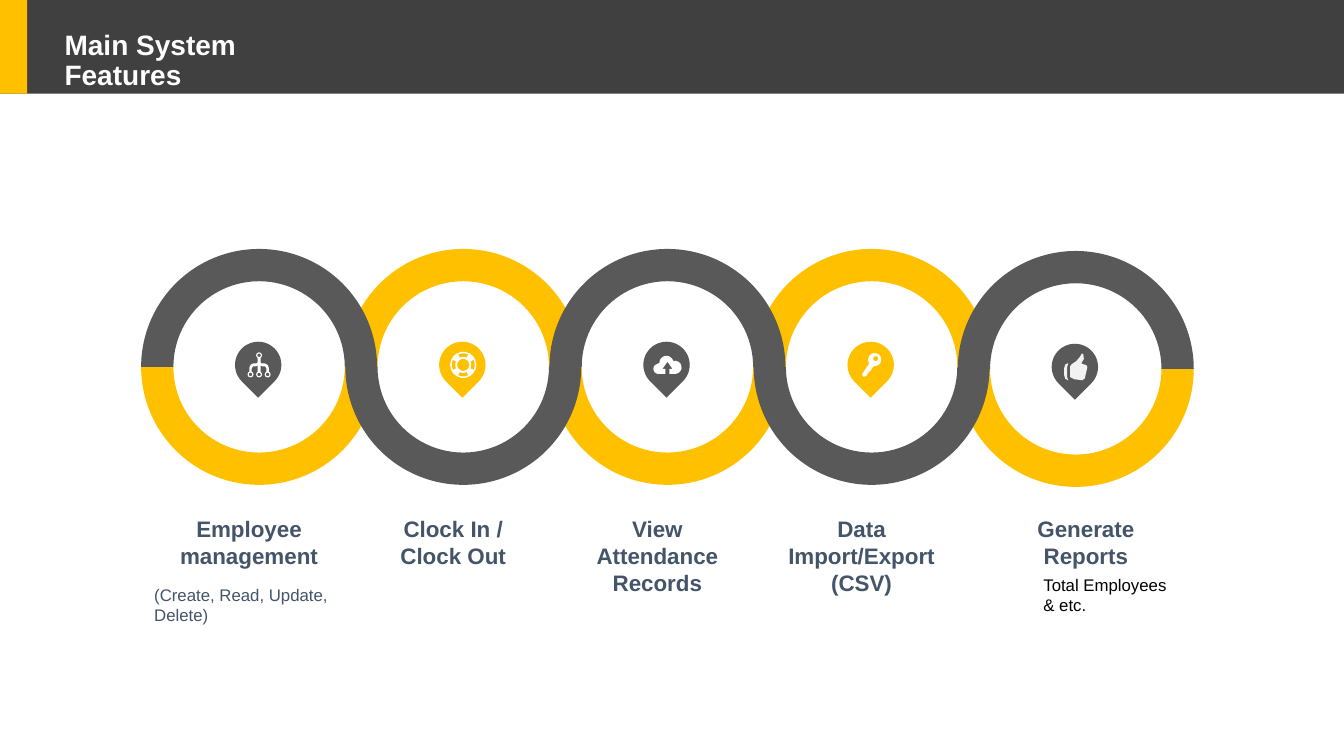
from math import cos, radians, sin

from pptx import Presentation
from pptx.dml.color import RGBColor
from pptx.enum.shapes import MSO_SHAPE
from pptx.enum.text import MSO_ANCHOR, MSO_AUTO_SIZE, PP_ALIGN
from pptx.util import Inches, Pt

COLORS = {"bar": "404040", "gold": "FFC000", "grey": "595959", "label": "445469",
          "title": "FDFDFD", "white": "FFFFFF", "thumb": "F2F2F2", "black": "000000"}

TITLE = "Main System Features"
FEATURES = ["Employee management", "Clock In / Clock Out", "View Attendance Records",
            "Data Import/Export (CSV)", "Generate Reports"]
CREATE_NOTE = "(Create, Read, Update, Delete)"
REPORT_NOTE = "Total Employees & etc."

# Chain of rings, in inches
FIRST_X, LAST_X, RING_Y = 2.57, 10.67, 3.64
PITCH = (LAST_X - FIRST_X) / (len(FEATURES) - 1)
OUTER, INNER = 1.17, 0.85
PIN_SIZE = 0.46
LABEL_WIDTH = 1.51
LAST_DROP, LAST_SHIFT = 0.02, 0.2


def arc(x, y, radius, start=0, end=360):
    """Points along an arc; angles run clockwise from the right."""
    step_angle = 20 if radius > 4 else 45
    steps = max(2, round(abs(end - start) / step_angle))
    angles = [radians(start + (end - start) * step / steps) for step in range(steps + 1)]
    return [(x + radius * cos(angle), y + radius * sin(angle)) for angle in angles]


def band(x, y, outer, inner, start, end):
    return arc(x, y, outer, start, end) + arc(x, y, inner, end, start)


def hole(x, y, radius):
    return arc(x, y, radius, 360, 0)


# Icon outlines, in hundredths of an inch
NODES = [(11.5, 3), (3, 22), (11.5, 22), (20, 22)]
BRANCH_LEFT = [(10, 5.5), (10, 10), (9, 11), (6, 11), (3, 12.5), (1.8, 15.5), (1.8, 19.3),
               (4.2, 19.3), (4.2, 16), (5.5, 14), (8.5, 14), (10, 13), (10, 19.3)]
BRANCH_RIGHT = [(23 - x, y) for x, y in reversed(BRANCH_LEFT)]
NETWORK = ([BRANCH_LEFT + BRANCH_RIGHT] + [arc(x, y, 3) for x, y in NODES]
           + [hole(x, y, 1.8) for x, y in NODES])
LIFEBUOY = [arc(13, 13, 13), hole(13, 13, 6)] + [
    band(13, 13, 11.5, 8, middle + 26, middle - 26) for middle in range(0, 360, 90)]
CLOUD = [arc(5, 13, 5, 90, 260) + arc(13, 7, 7, 180, 345) + arc(21.5, 11.5, 6.5, 265, 450)
         + [(16, 18), (16, 13), (19, 13), (14, 6), (9, 13), (12, 13), (12, 18)]]
KEY = [arc(12.5, 7, 6.5, 165, 455)
       + [(11, 14), (8, 18.5), (7, 19), (4, 23.5), (1, 24), (0, 21.5), (7, 11)],
       hole(13.5, 6, 2.6)]
THUMB = [[(17, 10), (19.5, 6), (19, 1), (17.5, 0.5), (15.5, 4), (12, 8), (7.5, 11), (6, 13),
          (6, 24), (10, 26), (18, 27), (20.5, 25), (23, 14), (22, 12), (18, 10.8)],
         [(4, 10), (1, 11.5), (0, 15), (0, 22), (1, 25.5), (4, 27), (3, 24), (3, 14)]]
ICONS = [NETWORK, LIFEBUOY, CLOUD, KEY, THUMB]


def paint(shape, color):
    shape.fill.solid()
    shape.fill.fore_color.rgb = RGBColor.from_string(COLORS[color])
    shape.line.fill.background()
    shape.shadow.inherit = False


def add_preset(slide, kind, left, top, width, height, color):
    shape = slide.shapes.add_shape(kind, Inches(left), Inches(top), Inches(width), Inches(height))
    paint(shape, color)
    return shape


def add_half_ring(slide, x, y, start, color):
    """Half a ring, clockwise from the start angle; one degree is 0.6 adjustment units."""
    ring = add_preset(slide, MSO_SHAPE.BLOCK_ARC, x - OUTER, y - OUTER,
                      2 * OUTER, 2 * OUTER, color)
    ring.adjustments[0] = start * 0.6
    ring.adjustments[1] = (start + 180) % 360 * 0.6
    ring.adjustments[2] = (OUTER - INNER) / (2 * OUTER)


def add_icon(slide, contours, x, y, color):
    """Centre an icon on (x, y)."""
    xs, ys = zip(*[point for contour in contours for point in contour])
    middle_x, middle_y = (min(xs) + max(xs)) / 2, (min(ys) + max(ys)) / 2
    builder = None
    for contour in contours:
        points = [(Inches(x + (px - middle_x) / 100), Inches(y + (py - middle_y) / 100))
                  for px, py in contour]
        if builder is None:
            builder = slide.shapes.build_freeform(*points[0])
        else:
            builder.move_to(*points[0])
        builder.add_line_segments(points[1:], close=True)
    paint(builder.convert_to_shape(), color)


def write(box, text, size=12, color="label", bold=False, align=PP_ALIGN.LEFT,
          inset=(0, 0), spacing=None):
    frame = box.text_frame
    frame.word_wrap = True
    frame.auto_size = MSO_AUTO_SIZE.NONE
    frame.vertical_anchor = MSO_ANCHOR.TOP
    frame.margin_left = frame.margin_right = Inches(inset[0])
    frame.margin_top = frame.margin_bottom = Inches(inset[1])
    para = frame.paragraphs[0]
    para.alignment = align
    if spacing:
        para.line_spacing = spacing
    span = para.add_run()
    span.text = text
    span.font.name = "Arial"
    span.font.size = Pt(size)
    span.font.bold = bold
    span.font.color.rgb = RGBColor.from_string(COLORS[color])


def add_text(slide, left, top, width, height, text, **style):
    box = slide.shapes.add_textbox(Inches(left), Inches(top), Inches(width), Inches(height))
    write(box, text, **style)


def main():
    deck = Presentation()
    deck.slide_width, deck.slide_height = Inches(13.33), Inches(7.5)
    page = deck.slides.add_slide(deck.slide_layouts[5])

    # Header bar, with the title brought in front of it
    add_preset(page, MSO_SHAPE.RECTANGLE, 0, 0, 13.33, 0.93, "bar")
    add_preset(page, MSO_SHAPE.RECTANGLE, 0, 0, 0.27, 0.93, "gold")
    title = page.shapes.title
    title.left, title.top = Inches(0.54), Inches(0.26)
    title.width, title.height = Inches(2.4), Inches(0.67)
    write(title, TITLE, size=20, color="title", bold=True, inset=(0.1, 0.05), spacing=0.9)
    title._element.getparent().append(title._element)

    centers = [(FIRST_X + index * PITCH, RING_Y) for index in range(len(FEATURES))]
    centers[-1] = (LAST_X, RING_Y + LAST_DROP)

    # Half rings alternate in colour; the grey wave lies over the gold one
    for color, first_half in (("gold", 1), ("grey", 0)):
        for index, (x, y) in enumerate(centers):
            start = 0 if (index + first_half) % 2 else 180
            add_half_ring(page, x, y, start, color)

    # Pins, icons and labels
    for index, (x, y) in enumerate(centers):
        last = index == len(centers) - 1
        pin = add_preset(page, MSO_SHAPE.TEAR, x - 0.01 - PIN_SIZE / 2, y - 0.02 - PIN_SIZE / 2,
                         PIN_SIZE, PIN_SIZE, "gold" if index % 2 else "grey")
        pin.rotation = 135
        add_icon(page, ICONS[index], x, y - 0.02, "thumb" if last else "white")
        label_left = x - 0.1 - LABEL_WIDTH / 2 + (LAST_SHIFT if last else 0)
        lines = 3 if index in (2, 3) else 2
        add_text(page, label_left, 5.11, LABEL_WIDTH, 0.27 * lines, FEATURES[index],
                 size=16, bold=True, align=PP_ALIGN.CENTER)

    # Notes under the first and last labels
    add_text(page, 1.53, 5.8, 1.9, 0.95, CREATE_NOTE)
    add_text(page, 10.25, 5.65, 1.52, 0.62, REPORT_NOTE, color="black", inset=(0.1, 0.05))

    deck.save("out.pptx")


if __name__ == "__main__":
    main()
